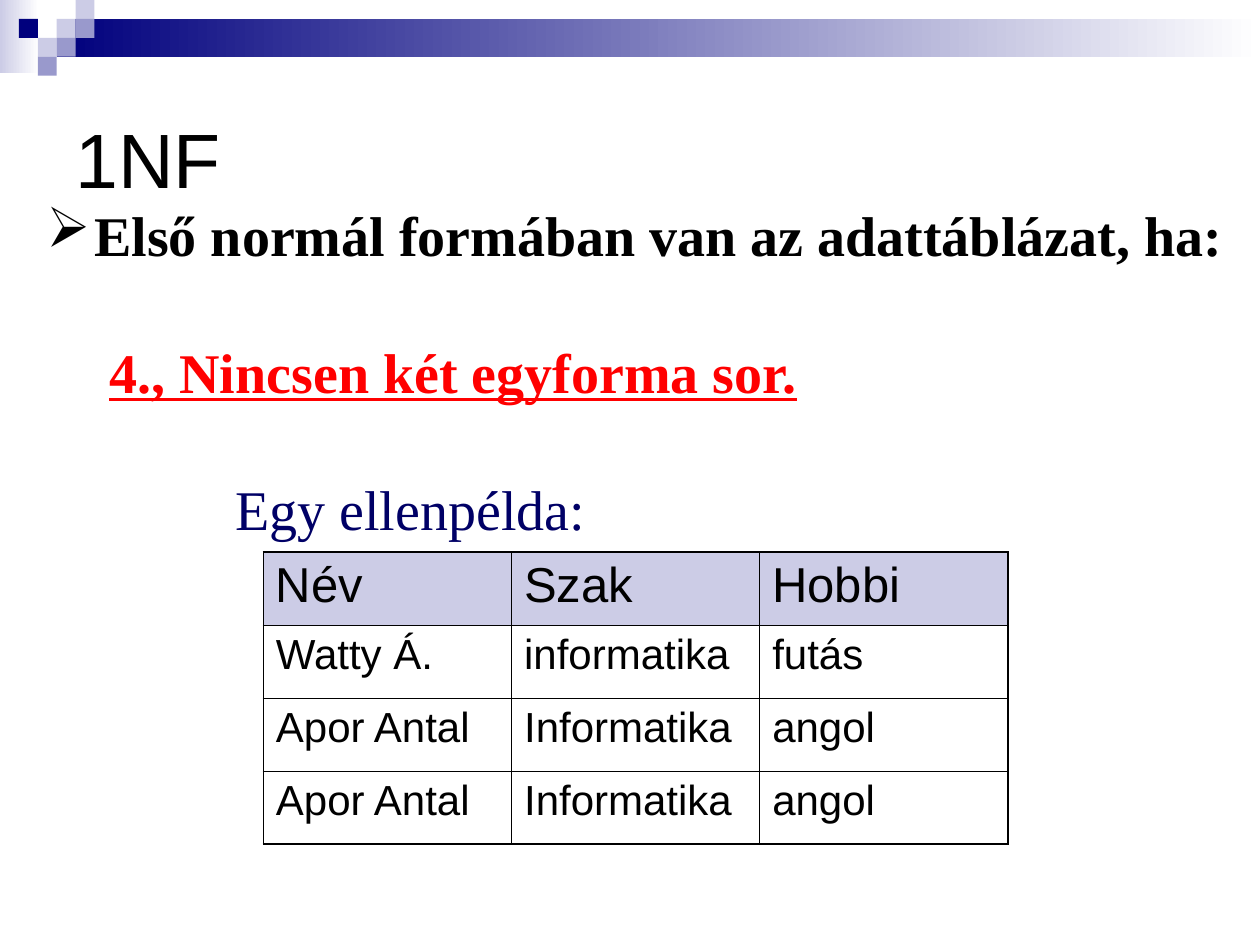
from lxml.etree import SubElement
from pptx import Presentation
from pptx.dml.color import RGBColor
from pptx.enum.shapes import MSO_SHAPE
from pptx.enum.text import MSO_ANCHOR
from pptx.oxml.ns import qn
from pptx.util import Inches, Pt

BLACK = RGBColor(0x00, 0x00, 0x00)
WHITE = RGBColor(0xFF, 0xFF, 0xFF)
RED = RGBColor(0xFF, 0x00, 0x00)
DARK_BLUE = RGBColor(0x00, 0x00, 0x66)
NAVY = RGBColor(0x00, 0x00, 0x7D)
LAVENDER = RGBColor(0xCC, 0xCC, 0xE6)
PERIWINKLE = RGBColor(0x99, 0x99, 0xCC)

TITLE = "1NF"
STATEMENTS = [
    {"text": "Első normál formában van az adattáblázat, ha:", "indent": 0.38,
     "level": 0, "color": BLACK, "bold": True, "underline": False, "bullet": "➢"},
    {"text": "4., Nincsen két egyforma sor.", "indent": 0.88,
     "level": 1, "color": RED, "bold": True, "underline": True, "bullet": None},
    {"text": "Egy ellenpélda:", "indent": 1.88,
     "level": 3, "color": DARK_BLUE, "bold": False, "underline": False, "bullet": None},
]
TABLE_ROWS = [
    ["Név", "Szak", "Hobbi"],
    ["Watty Á.", "informatika", "futás"],
    ["Apor Antal", "Informatika", "angol"],
    ["Apor Antal", "Informatika", "angol"],
]
BANDS = [
    (0, 0, 0.31, 0.58, LAVENDER),
    (0.45, 0.15, 9.55, 0.3, NAVY),
]
SQUARE = 0.15
SQUARES = [
    (3, 1, LAVENDER), (4, 0, LAVENDER), (4, 1, PERIWINKLE), (2, 2, LAVENDER),
    (1, 1, NAVY), (3, 2, PERIWINKLE), (2, 3, PERIWINKLE),
]
HANGING = 0.38
COLUMN_WIDTH = 1.97
ROW_HEIGHT = 0.58
OUTER_LINE = 1.08
INNER_LINE = 0.45


def add_rectangle(slide, left, top, width, height):
    shape = slide.shapes.add_shape(
        MSO_SHAPE.RECTANGLE, Inches(left), Inches(top), Inches(width), Inches(height))
    shape.shadow.inherit = False
    shape.line.fill.background()
    return shape


def add_decoration(slide):
    for left, top, width, height, color in BANDS:
        band = add_rectangle(slide, left, top, width, height)
        band.fill.gradient()
        band.fill.gradient_angle = 0
        for stop, stop_color in zip(band.fill.gradient_stops, (color, WHITE)):
            stop.color.rgb = stop_color
    for column, row, color in SQUARES:
        square = add_rectangle(slide, column * SQUARE, row * SQUARE, SQUARE, SQUARE)
        square.fill.solid()
        square.fill.fore_color.rgb = color


def add_text_frame(slide, left, top, width, height):
    box = slide.shapes.add_textbox(Inches(left), Inches(top), Inches(width), Inches(height))
    box.text_frame.word_wrap = True
    box.text_frame.vertical_anchor = MSO_ANCHOR.MIDDLE
    return box.text_frame


def format_font(font, name, size, color):
    font.name = name
    font.size = Pt(size)
    font.color.rgb = color


def add_statements(slide):
    text_frame = add_text_frame(slide, 0.27, 1.56, 9.59, 2.77)
    for index, statement in enumerate(STATEMENTS):
        paragraph = text_frame.add_paragraph() if index else text_frame.paragraphs[0]
        paragraph.text = statement["text"]
        paragraph.level = statement["level"]
        if index:
            paragraph.space_before = Pt(40)
        properties = paragraph._p.get_or_add_pPr()
        properties.set("marL", str(Inches(statement["indent"])))
        properties.set("indent", str(Inches(-HANGING)))
        if statement["bullet"]:
            SubElement(properties, qn("a:buChar"), char=statement["bullet"])
        else:
            SubElement(properties, qn("a:buNone"))
        font = paragraph.runs[0].font
        format_font(font, "Times New Roman", 32, statement["color"])
        font.bold = statement["bold"]
        font.underline = statement["underline"]


def set_borders(cell, widths):
    properties = cell._tc.get_or_add_tcPr()
    for position, (side, width) in enumerate(widths.items()):
        line = properties.makeelement(qn(f"a:{side}"), {"w": str(Pt(width))})
        fill = SubElement(line, qn("a:solidFill"))
        SubElement(fill, qn("a:srgbClr"), val=str(BLACK))
        properties.insert(position, line)


def add_example_table(slide):
    row_count, column_count = len(TABLE_ROWS), len(TABLE_ROWS[0])
    table = slide.shapes.add_table(
        row_count, column_count, Inches(2.09), Inches(4.38),
        Inches(COLUMN_WIDTH * column_count), Inches(ROW_HEIGHT * row_count)).table
    for row, values in enumerate(TABLE_ROWS):
        for column, value in enumerate(values):
            cell = table.cell(row, column)
            cell.text_frame.text = value
            font = cell.text_frame.paragraphs[0].runs[0].font
            format_font(font, "Arial", 24 if row else 28, BLACK)
            font.bold = False
            if row:
                cell.fill.background()
            else:
                cell.fill.solid()
                cell.fill.fore_color.rgb = LAVENDER
            on_edge = {
                "lnL": column == 0,
                "lnR": column == column_count - 1,
                "lnT": row == 0,
                "lnB": row == row_count - 1,
            }
            set_borders(cell, {side: OUTER_LINE if edge else INNER_LINE
                               for side, edge in on_edge.items()})


def main():
    presentation = Presentation()
    presentation.slide_width = Inches(10)
    presentation.slide_height = Inches(7.5)
    slide = presentation.slides.add_slide(presentation.slide_layouts[6])
    add_decoration(slide)
    title_frame = add_text_frame(slide, 0.5, 0.5, 9, 1.5)
    title_frame.text = TITLE
    format_font(title_frame.paragraphs[0].runs[0].font, "Arial", 44, BLACK)
    add_statements(slide)
    add_example_table(slide)
    presentation.save("out.pptx")


if __name__ == "__main__":
    main()
